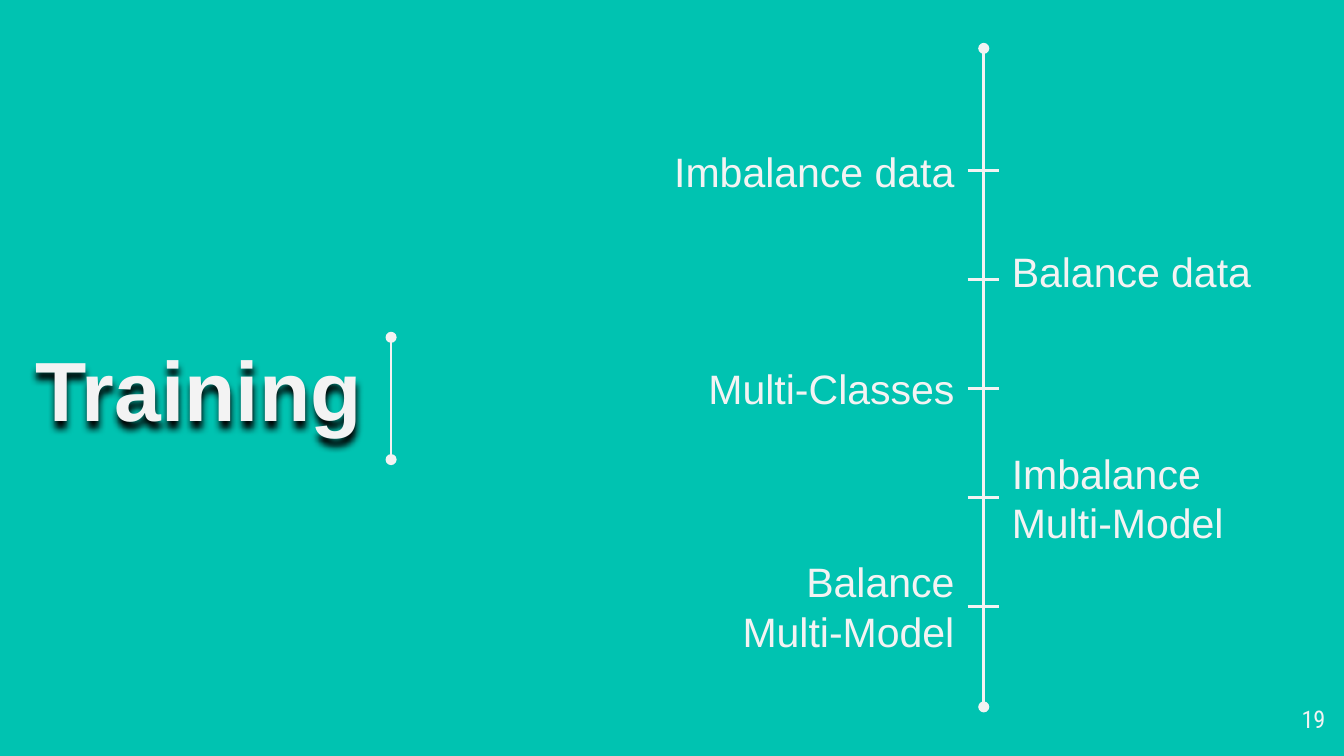
import dataclasses

import lxml.etree
import pptx
import pptx.dml.color
import pptx.enum.shapes
import pptx.enum.text
import pptx.oxml.ns
import pptx.util

COLUMNS, ROWS = 100, 56.25
ALIGN = pptx.enum.text.PP_ALIGN
ANCHOR = pptx.enum.text.MSO_ANCHOR


@dataclasses.dataclass(frozen=True)
class Theme:
    background: str = "00C3B1"
    ink: str = "F3F3F3"
    shadow: str = "000000"
    font: str = "Arial"
    number_font: str = "Roboto Condensed"
    title_size: int = 45
    label_size: int = 22
    number_size: int = 13
    line_width: float = 1.5


def grid(cells):
    """Turn grid cells, a tenth of an inch each, into a length."""
    return pptx.util.Inches(cells / 10)


def color(value):
    return pptx.dml.color.RGBColor.from_string(value)


def add_xml(parent, tag, **attributes):
    return lxml.etree.SubElement(parent, pptx.oxml.ns.qn(tag), attributes)


class TimelineSlide:
    def __init__(self, deck, theme):
        self.theme = theme
        self.page = deck.slides.add_slide(deck.slide_layouts[6])
        fill = self.page.background.fill
        fill.solid()
        fill.fore_color.rgb = color(theme.background)

    def text(self, lines, left, top, width, height, size, align=ALIGN.RIGHT,
             anchor=ANCHOR.TOP, margin=1, font=None, bold=False):
        box = self.page.shapes.add_textbox(*map(grid, (left, top, width, height)))
        frame = box.text_frame
        frame_format = {
            "word_wrap": True, "vertical_anchor": anchor,
            "margin_left": grid(1), "margin_right": grid(1),
            "margin_top": grid(margin), "margin_bottom": grid(margin),
        }
        for name, value in frame_format.items():
            setattr(frame, name, value)
        frame.text = lines
        font_format = {"name": font or self.theme.font,
                       "size": pptx.util.Pt(size), "bold": bold}
        for para in frame.paragraphs:
            para.alignment = align
            for span in para.runs:
                for name, value in font_format.items():
                    setattr(span.font, name, value)
                span.font.color.rgb = color(self.theme.ink)
        return box

    def title(self, words, left, top, width, height):
        box = self.text(words, left, top, width, height,
                        self.theme.title_size, bold=True)
        effects = add_xml(box._element.spPr, "a:effectLst")
        shadow = add_xml(effects, "a:outerShdw", blurRad="50800", dist="50800",
                         dir="5400000", algn="t", rotWithShape="0")
        add_xml(shadow, "a:srgbClr", val=self.theme.shadow)

    def line(self, start, end, dots=False):
        """Draw a line between two grid points, with round ends if dots is set."""
        line = self.page.shapes.add_connector(
            pptx.enum.shapes.MSO_CONNECTOR.STRAIGHT, *map(grid, (*start, *end)))
        line.line.color.rgb = color(self.theme.ink)
        line.line.width = pptx.util.Pt(self.theme.line_width)
        if dots:
            for tag in ("a:headEnd", "a:tailEnd"):
                add_xml(line.line._get_or_add_ln(), tag, type="oval")
        add_xml(line._element.spPr, "a:effectLst")

    def timeline(self, steps, axis, first_row, row_gap):
        """Draw the axis, then a tick and a label on alternating sides per step."""
        tick_left, tick_right, label_height = axis - 1.2, axis + 1.1, 6.9
        self.line((axis, 3.6), (axis, 52.6), dots=True)
        for index, (words, width, anchor) in enumerate(steps):
            row = first_row + index * row_gap
            self.line((tick_left, row), (tick_right, row))
            on_left = index % 2 == 0
            self.text(words, tick_left - width if on_left else tick_right,
                      row - label_height / 2, width, label_height,
                      self.theme.label_size, anchor=anchor,
                      align=ALIGN.RIGHT if on_left else ALIGN.LEFT)

    def number(self, words):
        self.text(words, 93.6, 51.9, 6, 4.3, self.theme.number_size,
                  margin=0.5, font=self.theme.number_font)


def main():
    deck = pptx.Presentation()
    deck.slide_width, deck.slide_height = grid(COLUMNS), grid(ROWS)
    slide = TimelineSlide(deck, Theme())
    slide.title("Training", 0.8, 24.1, 27.1, 8.8)
    slide.line((29.1, 34.2), (29.1, 25.1), dots=True)
    steps = [
        ("Imbalance data", 29.2, ANCHOR.MIDDLE),
        ("Balance data", 22.6, ANCHOR.TOP),
        ("Multi-Classes", 22.6, ANCHOR.MIDDLE),
        ("Imbalance\nMulti-Model", 19.6, ANCHOR.MIDDLE),
        ("Balance Multi-Model", 19, ANCHOR.MIDDLE),
    ]
    slide.timeline(steps, axis=73.2, first_row=12.7, row_gap=8.1)
    slide.number("19")
    deck.save("out.pptx")


if __name__ == "__main__":
    main()
